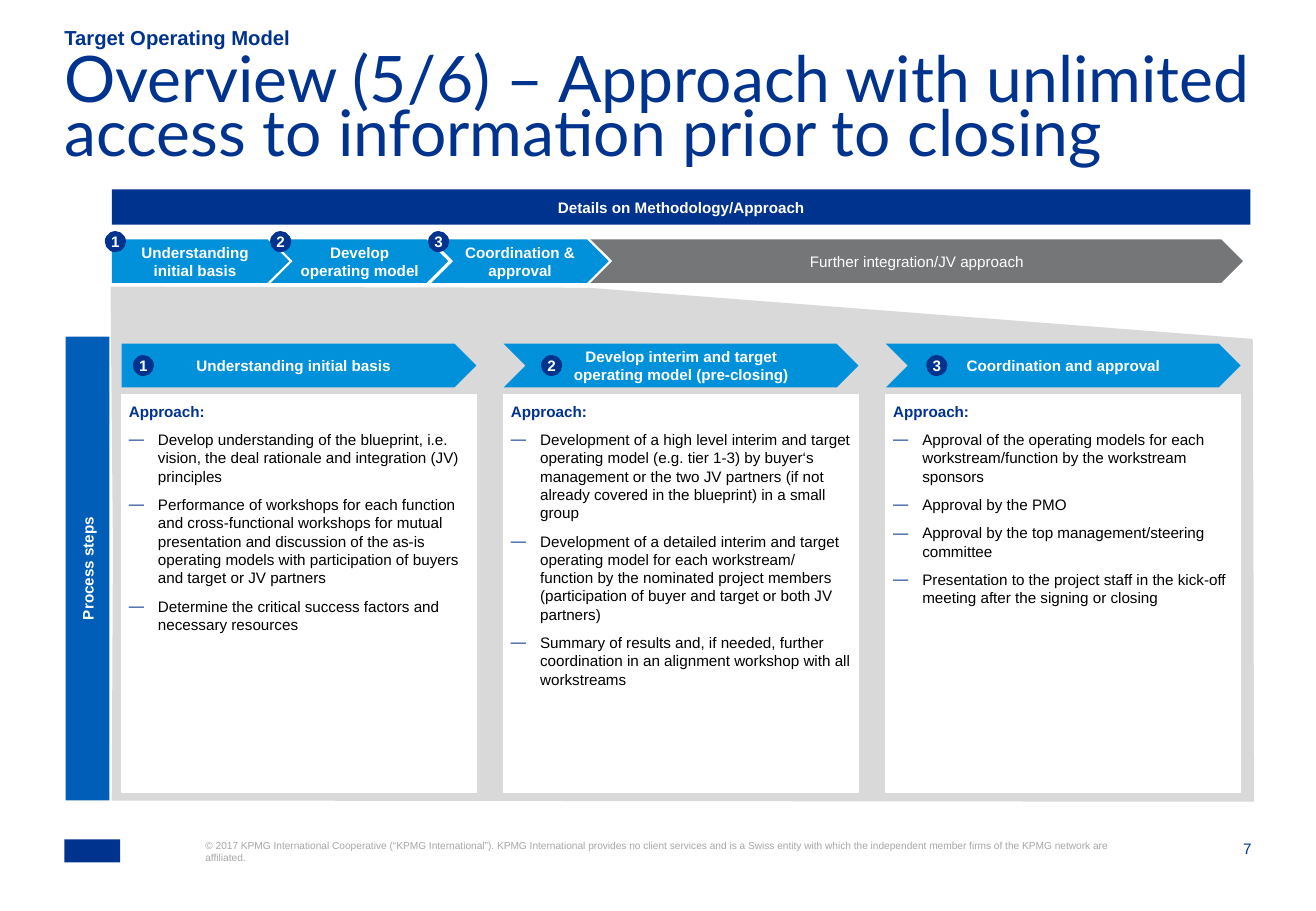
from dataclasses import dataclass

import pptx
import pptx.dml.color
import pptx.enum.shapes
import pptx.enum.text
import pptx.oxml
import pptx.oxml.ns
import pptx.util
from pptx.util import Inches

COLORS = {
    "navy": "00338D", "sky": "0091DA", "blue": "005EB8", "slate": "747678",
    "panel": "D9D9D9", "footer": "A6A6A6", "white": "FFFFFF", "black": "000000",
}
PRESET = pptx.enum.shapes.MSO_SHAPE
ALIGN = pptx.enum.text.PP_ALIGN
ANCHOR = pptx.enum.text.MSO_ANCHOR
BADGE_SIZE = 0.16
ARROW_HEIGHT = 0.36


@dataclass
class Arrow:
    left: float
    top: float
    width: float
    text: str
    fill: str = "sky"
    preset: int = PRESET.CHEVRON
    bold: bool = True
    inset: float = 0.1


@dataclass
class Step:
    heading: str
    badge_left: float
    placeholder: int
    tasks: list[str]


PHASES = [
    Arrow(0.92, 1.97, 1.46, "Understanding\ninitial basis", preset=PRESET.PENTAGON),
    Arrow(2.23, 1.97, 1.46, "Develop\noperating model", inset=0.04),
    Arrow(3.55, 1.97, 1.46, "Coordination &\napproval", inset=0.04),
    Arrow(4.86, 1.97, 5.37, "Further integration/JV approach", fill="slate", bold=False),
]
PHASE_BADGES = [0.87, 2.23, 3.53]

STEPS = [
    Step("Understanding initial basis", 1.1, 2, [
        "Develop understanding of the blueprint, i.e. vision, the deal rationale "
        "and integration (JV) principles",
        "Performance of workshops for each function and cross-functional workshops for "
        "mutual presentation and discussion of the as-is operating models with "
        "participation of buyers and target or JV partners",
        "Determine the critical success factors and necessary resources",
    ]),
    Step("Develop interim and target\noperating model (pre-closing)", 4.46, 3, [
        "Development of a high level interim and target operating model (e.g. tier 1-3) "
        "by buyer‘s management or the two JV partners (if not already covered in the "
        "blueprint) in a small group",
        "Development of a detailed interim and target operating model for each "
        "workstream/ function by the nominated project members (participation of buyer "
        "and target or both JV partners)",
        "Summary of results and, if needed, further coordination in an alignment "
        "workshop with all workstreams",
    ]),
    Step("Coordination and approval", 7.63, 4, [
        "Approval of the operating models for each workstream/function by the "
        "workstream sponsors",
        "Approval by the PMO",
        "Approval by the top management/steering committee",
        "Presentation to the project staff in the kick-off meeting after the signing "
        "or closing",
    ]),
]


def rgb(name: str) -> pptx.dml.color.RGBColor:
    return pptx.dml.color.RGBColor.from_string(COLORS[name])


def set_bullet(paragraph, bullet: str) -> None:
    """Set a dash with a hanging indent, or no bullet at all."""
    properties = paragraph._p.get_or_add_pPr()
    indent = Inches(0.24) if bullet else 0
    properties.set("marL", str(indent))
    properties.set("indent", str(-indent))
    ns = pptx.oxml.ns.nsdecls("a")
    marks = [f"<a:buNone {ns}/>"]
    if bullet:
        marks = [f'<a:buClr {ns}><a:srgbClr val="{COLORS["navy"]}"/></a:buClr>',
                 f'<a:buChar {ns} char="{bullet}"/>']
    for mark in marks:
        properties.append(pptx.oxml.parse_xml(mark))


def write_text(shape, text: str, *, size: float = 9, color: str = "white",
               bold: bool = False, font: str = "Arial", align=ALIGN.LEFT,
               anchor=ANCHOR.TOP, inset: float = 0, inset_y: float | None = None,
               after: float = 0, spacing: float = 1.0, bullet: str = "",
               wrap: bool = True) -> None:
    """Append each line of the text as a formatted paragraph."""
    frame = shape.text_frame
    frame.auto_size = pptx.enum.text.MSO_AUTO_SIZE.NONE
    frame.word_wrap = wrap
    frame.vertical_anchor = anchor
    frame.margin_left = frame.margin_right = Inches(inset)
    frame.margin_top = frame.margin_bottom = Inches(inset if inset_y is None else inset_y)
    for line in text.split("\n"):
        paragraph = frame.add_paragraph() if frame.text else frame.paragraphs[0]
        set_bullet(paragraph, bullet)
        paragraph.alignment = align
        paragraph.line_spacing = spacing
        paragraph.space_before = pptx.util.Pt(0)
        paragraph.space_after = pptx.util.Pt(after)
        run = paragraph.add_run()
        run.text = line
        run.font.name = font
        run.font.size = pptx.util.Pt(size)
        run.font.bold = bold
        run.font.color.rgb = rgb(color)


def paint(shape, fill: str, line: str = "", line_width: float = 1) -> None:
    shape.fill.solid()
    shape.fill.fore_color.rgb = rgb(fill)
    if line:
        shape.line.color.rgb = rgb(line)
        shape.line.width = pptx.util.Pt(line_width)
    else:
        shape.line.fill.background()


def place(shape, left: float, top: float, width: float, height: float):
    shape.left, shape.top = Inches(left), Inches(top)
    shape.width, shape.height = Inches(width), Inches(height)
    return shape


def add_preset(slide, preset, left: float, top: float, width: float, height: float,
               fill: str, line: str = ""):
    shape = slide.shapes.add_shape(preset, *map(Inches, (left, top, width, height)))
    shape.shadow.inherit = False
    paint(shape, fill, line)
    return shape


def add_arrow(slide, arrow: Arrow) -> None:
    shape = add_preset(slide, arrow.preset, arrow.left, arrow.top, arrow.width,
                       ARROW_HEIGHT, arrow.fill)
    write_text(shape, arrow.text, bold=arrow.bold, align=ALIGN.CENTER,
               anchor=ANCHOR.MIDDLE, inset=arrow.inset, inset_y=0.05)


def add_badge(slide, number: int, left: float, top: float) -> None:
    badge = add_preset(slide, PRESET.OVAL, left, top, BADGE_SIZE, BADGE_SIZE, "navy", "navy")
    write_text(badge, str(number), bold=True, align=ALIGN.CENTER,
               anchor=ANCHOR.MIDDLE, wrap=False)


def add_label(slide, text: str, left: float, top: float, width: float, height: float,
              **text_format) -> None:
    label = slide.shapes.add_textbox(*map(Inches, (left, top, width, height)))
    write_text(label, text, **text_format)


def add_panel(slide) -> None:
    """Draw the grey area that opens from the first three phases, behind the rest."""
    corners = [(0.92, 2.37), (4.85, 2.38), (10.3, 2.8), (10.31, 6.59), (0.93, 6.58),
               (0.94, 4.5)]
    points = [(Inches(x), Inches(y)) for x, y in corners]
    builder = slide.shapes.build_freeform(*points[0])
    builder.add_line_segments(points[1:], close=True)
    panel = builder.convert_to_shape()
    panel.shadow.inherit = False
    paint(panel, "panel", "panel", 1.5)
    slide.shapes._spTree.insert(2, panel._element)


def add_step(slide, index: int, step: Step) -> None:
    left = 1 + index * 3.145
    preset = PRESET.CHEVRON if index else PRESET.PENTAGON
    add_arrow(slide, Arrow(left, 2.83, 2.92, step.heading, preset=preset))
    add_badge(slide, index + 1, step.badge_left, 2.93)
    approach = place(slide.placeholders[step.placeholder], left, 3.25, 2.92, 3.27)
    paint(approach, "white", "white", 0.75)
    write_text(approach, "Approach:", color="navy", bold=True, inset=0.06, after=6)
    write_text(approach, "\n".join(step.tasks), color="black", inset=0.06, after=6, bullet="—")


def main() -> None:
    deck = pptx.Presentation()
    deck.slide_width, deck.slide_height = Inches(10.83), Inches(7.5)
    slide = deck.slides.add_slide(deck.slide_layouts.get_by_name("Comparison"))

    # Heading
    add_panel(slide)
    topic = place(slide.placeholders[1], 0.53, 0.22, 9.4, 0.19)
    write_text(topic, "Target Operating Model", size=12, color="navy", bold=True,
               anchor=ANCHOR.BOTTOM)
    title = place(slide.shapes.title, 0.53, 0.49, 9.76, 0.79)
    write_text(title, "Overview (5/6) – Approach with unlimited access to information "
               "prior to closing", size=38, color="navy", font="Lato", spacing=0.7)

    # Methodology bar and phases
    methodology = add_preset(slide, PRESET.RECTANGLE, 0.92, 1.56, 9.37, 0.29, "navy")
    write_text(methodology, "Details on Methodology/Approach", bold=True,
               align=ALIGN.CENTER, anchor=ANCHOR.MIDDLE, inset=0.06)
    for phase in PHASES:
        add_arrow(slide, phase)
    for number, left in enumerate(PHASE_BADGES, 1):
        add_badge(slide, number, left, 1.91)

    # Process steps
    process = add_preset(slide, PRESET.RECTANGLE, -1.19, 4.5, 3.82, 0.36, "blue")
    process.rotation = 270
    write_text(process, "Process steps", bold=True, align=ALIGN.CENTER, anchor=ANCHOR.MIDDLE)
    for index, step in enumerate(STEPS):
        add_step(slide, index, step)

    # Footer
    add_preset(slide, PRESET.RECTANGLE, 0.53, 6.91, 0.46, 0.19, "navy")
    add_label(slide, "© 2017 KPMG International Cooperative (“KPMG International”). KPMG "
              "International provides no client services and is a Swiss entity with which "
              "the independent member firms of the KPMG network are affiliated.",
              1.69, 6.91, 7.49, 0.41, size=6, color="footer")
    add_label(slide, "7", 9.87, 6.91, 0.43, 0.16, color="navy", align=ALIGN.RIGHT)

    deck.save("out.pptx")


if __name__ == "__main__":
    main()
